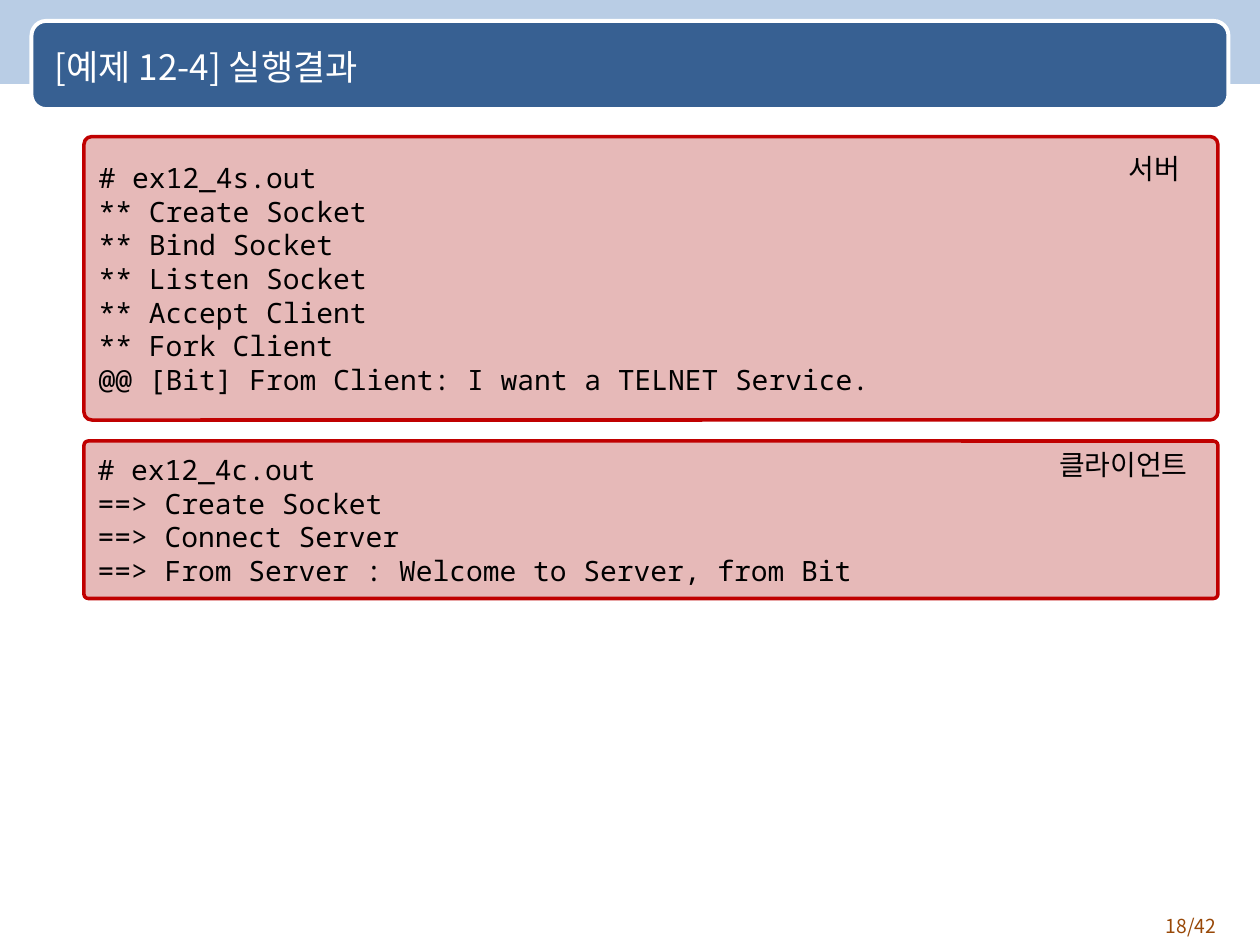
import dataclasses

import pptx
import pptx.dml.color
import pptx.enum.shapes
import pptx.enum.text
import pptx.oxml
import pptx.oxml.ns
import pptx.util

SHAPE = pptx.enum.shapes.MSO_SHAPE
ALIGN = pptx.enum.text.PP_ALIGN
ANCHOR = pptx.enum.text.MSO_ANCHOR
SANS, MONO = "Noto Sans CJK KR", "Noto Sans Mono"

# The slide is a grid of 120 columns by 90 rows, each cell 1/12 inch
CELL = pptx.util.Inches(1 / 12)
COLS, ROWS = 120, 90


@dataclasses.dataclass
class Box:
    """Place on the grid, in columns and rows."""
    col: float
    row: float
    cols: float
    rows: float

    def emu(self) -> list[int]:
        return [round(n * CELL) for n in (self.col, self.row, self.cols, self.rows)]


@dataclasses.dataclass
class Style:
    size: float
    color: str
    font: str = SANS
    align: ALIGN = ALIGN.LEFT
    anchor: ANCHOR = ANCHOR.TOP
    wrap: bool = True


@dataclasses.dataclass
class Console:
    """Program output with a label in its top right corner."""
    box: Box
    label: str
    label_box: Box
    lines: list[str]


def rgb(color: str) -> pptx.dml.color.RGBColor:
    return pptx.dml.color.RGBColor.from_string(color)


def write(sp, lines: list[str], style: Style) -> None:
    tf = sp.text_frame
    tf.text = "\n".join(lines)
    tf.word_wrap = style.wrap
    tf.vertical_anchor = style.anchor
    for p in tf.paragraphs:
        p.alignment = style.align
        for r in p.runs:
            r.font.size = pptx.util.Pt(style.size)
            r.font.name = style.font
            r.font.color.rgb = rgb(style.color)
            # Korean text takes the East Asian typeface
            ea = pptx.oxml.parse_xml(
                f'<a:ea {pptx.oxml.ns.nsdecls("a")} typeface="{style.font}"/>')
            r.font._element.append(ea)


def add_panel(s, box: Box, fill: str, line: str = "", width: float = 0,
              corner: float = 0):
    kind = SHAPE.ROUNDED_RECTANGLE if corner else SHAPE.RECTANGLE
    sp = s.shapes.add_shape(kind, *box.emu())
    sp.shadow.inherit = False
    sp.fill.solid()
    sp.fill.fore_color.rgb = rgb(fill)
    if corner:
        sp.adjustments[0] = corner
    if line:
        sp.line.color.rgb = rgb(line)
        sp.line.width = pptx.util.Pt(width)
    else:
        sp.line.fill.background()
    return sp


def add_text(s, box: Box, text: str, style: Style) -> None:
    write(s.shapes.add_textbox(*box.emu()), [text], style)


def add_console(s, console: Console) -> None:
    sp = add_panel(s, console.box, "E6B9B8", "C00000", 2, 0.028)
    write(sp, console.lines,
          Style(16, "000000", MONO, ALIGN.JUSTIFY, ANCHOR.MIDDLE))
    add_text(s, console.label_box, console.label, Style(16, "000000", wrap=False))


CONSOLES = [
    Console(Box(8, 13, 108, 27), "서버", Box(106.3, 13.8, 7.3, 4.4), [
        "# ex12_4s.out",
        "** Create Socket",
        "** Bind Socket",
        "** Listen Socket",
        "** Accept Client",
        "** Fork Client",
        "@@ [Bit] From Client: I want a TELNET Service.",
    ]),
    Console(Box(8, 42, 108, 15), "클라이언트", Box(99.7, 42, 14.6, 4.4), [
        "# ex12_4c.out",
        "==> Create Socket",
        "==> Connect Server",
        "==> From Server : Welcome to Server, from Bit",
    ]),
]


def main() -> None:
    prs = pptx.Presentation()
    prs.slide_width, prs.slide_height = COLS * CELL, ROWS * CELL
    s = prs.slides.add_slide(prs.slide_layouts[6])

    # Header band, title bar and page number
    add_panel(s, Box(0, 0, COLS, 8), "B9CDE5")
    add_panel(s, Box(3, 2, 114, 8.4), "376092", "FFFFFF", 2.25, 0.167)
    add_text(s, Box(107, 86.5, 10, 3.5), "18/42",
             Style(11, "984807", align=ALIGN.RIGHT))
    add_text(s, Box(4, 2.3, 111, 8), "[예제 12-4] 실행결과",
             Style(20, "FFFFFF", anchor=ANCHOR.MIDDLE))

    # Server and client output
    for console in CONSOLES:
        add_console(s, console)

    prs.save("out.pptx")


if __name__ == "__main__":
    main()
